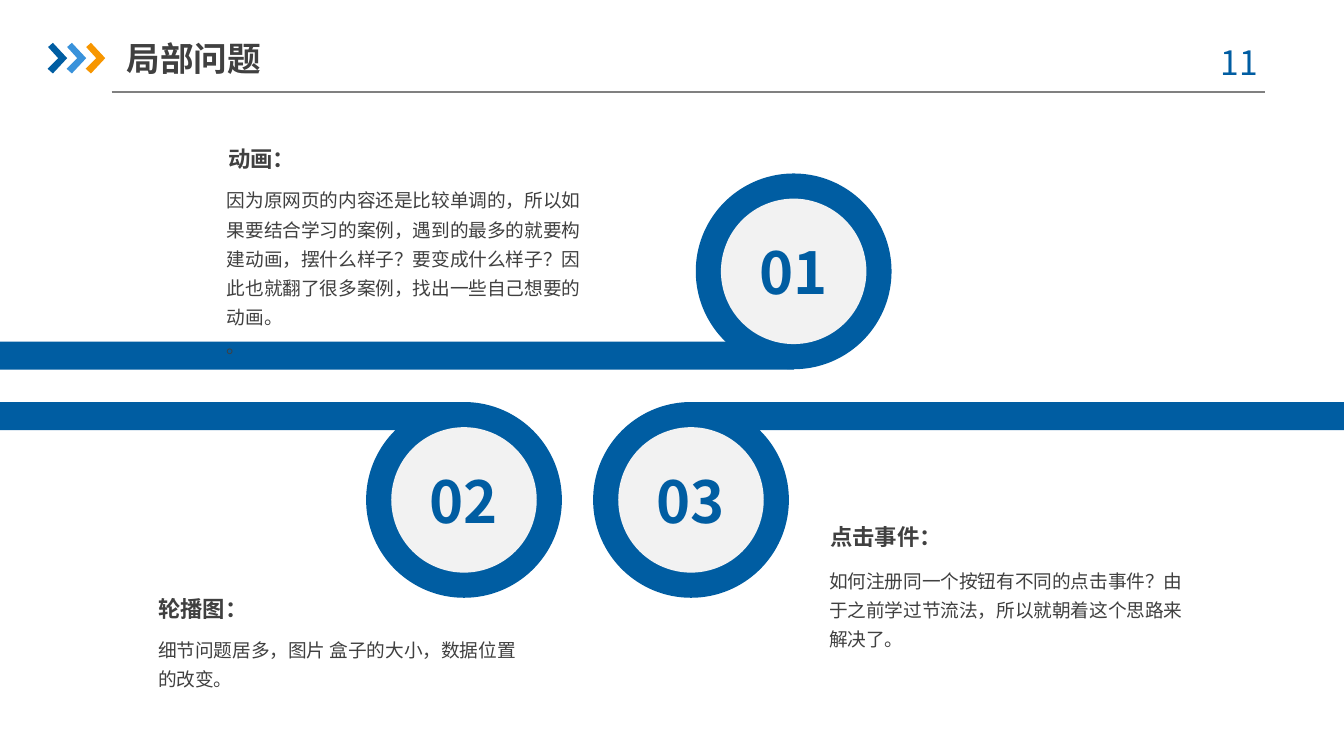
from dataclasses import dataclass

from lxml.etree import SubElement
from pptx import Presentation
from pptx.dml.color import RGBColor
from pptx.enum.shapes import MSO_CONNECTOR as Connector, MSO_SHAPE as Preset
from pptx.enum.text import MSO_ANCHOR as Anchor, MSO_AUTO_SIZE as AutoSize, PP_ALIGN as Align
from pptx.oxml.ns import qn
from pptx.util import Cm, Pt

FONT = "Noto Sans CJK SC"
BLUE = "005DA2"
SKY = "3992DB"
ORANGE = "F79600"
DARK = "404040"
GREY = "808080"
PALE = "F2F2F2"

PAGE_WIDTH = 25.4
PAGE_HEIGHT = 14.29
RING_SIZE = 3.7
DISC_SIZE = 2.75
BAR_HEIGHT = 0.53
CHEVRON_PITCH = 0.36
CHEVRON = [(0.91, 0.89), (1.0, 0.81), (1.27, 1.1), (1.0, 1.39), (0.9, 1.3), (1.1, 1.1)]


@dataclass
class Area:
    left: float
    top: float
    width: float
    height: float

    def lengths(self) -> tuple:
        return Cm(self.left), Cm(self.top), Cm(self.width), Cm(self.height)


@dataclass
class Topic:
    number: str
    bar: Area
    ring_left: float
    ring_top: float
    heading: str
    heading_area: Area
    body: str
    body_area: Area


TOPICS = [
    Topic("02", Area(0, 7.6, 8.81, BAR_HEIGHT), 6.92, 7.6,
          "轮播图：", Area(2.79, 11.15, 2.11, 0.71),
          "细节问题居多，图片 盒子的大小，数据位置的改变。", Area(2.79, 11.84, 7.34, 1.24)),
    Topic("01", Area(0, 6.46, 15.01, BAR_HEIGHT), 13.15, 3.28,
          "动画：", Area(4.11, 2.64, 1.68, 0.71),
          "因为原网页的内容还是比较单调的，所以如果要结合学习的案例，遇到的最多的就要构建动画，"
          "摆什么样子？要变成什么样子？因此也就翻了很多案例，找出一些自己想要的动画。\n。",
          Area(4.09, 3.35, 7.24, 3.53)),
    Topic("03", Area(13.08, 7.6, 12.32, BAR_HEIGHT), 11.21, 7.6,
          "点击事件：", Area(15.49, 9.78, 2.54, 0.71),
          "如何注册同一个按钮有不同的点击事件？由于之前学过节流法，所以就朝着这个思路来解决了。",
          Area(15.47, 10.54, 7.24, 1.8)),
]


def colour(code: str) -> RGBColor:
    return RGBColor.from_string(code)


def paint(shape, code: str) -> None:
    shape.shadow.inherit = False
    shape.fill.solid()
    shape.fill.fore_color.rgb = colour(code)
    shape.line.fill.background()


def write(shape, text: str, size: float, code: str, bold: bool = False,
          align=Align.LEFT, anchor=Anchor.TOP, wrap: bool = True,
          spacing: float = 1.0, margins: tuple = (0.2, 0.1)) -> None:
    frame = shape.text_frame
    frame.text = text
    frame.word_wrap = wrap
    frame.auto_size = AutoSize.NONE
    frame.vertical_anchor = anchor
    frame.margin_left = frame.margin_right = Cm(margins[0])
    frame.margin_top = frame.margin_bottom = Cm(margins[1])
    for para in frame.paragraphs:
        para.alignment = align
        para.line_spacing = spacing
        for span in para.runs:
            span.font.name = FONT
            span.font.size = Pt(size)
            span.font.bold = bold
            span.font.color.rgb = colour(code)
            SubElement(span.font._element, qn("a:ea"), typeface=FONT)


def add_block(page, preset, area: Area, code: str):
    shape = page.shapes.add_shape(preset, *area.lengths())
    paint(shape, code)
    return shape


def add_text(page, area: Area, text: str, size: float, code: str, **style) -> None:
    box = page.shapes.add_textbox(*area.lengths())
    write(box, text, size, code, **style)


def add_chevron(page, shift: float, code: str) -> None:
    points = [(Cm(x + shift), Cm(y)) for x, y in CHEVRON]
    builder = page.shapes.build_freeform(*points[0])
    builder.add_line_segments(points[1:], close=True)
    paint(builder.convert_to_shape(), code)


def add_header(page) -> None:
    rule = page.shapes.add_connector(Connector.STRAIGHT, Cm(2.11), Cm(1.74), Cm(23.9), Cm(1.74))
    rule.line.color.rgb = colour(GREY)
    rule.line.width = Pt(0.75)
    SubElement(rule._element.spPr, qn("a:effectLst"))
    for index, code in enumerate([BLUE, SKY, ORANGE]):
        add_chevron(page, index * CHEVRON_PITCH, code)
    add_text(page, Area(22.5, 0.66, 1.85, 1.02), "11", 18, BLUE,
             align=Align.CENTER, margins=(0.25, 0.13))
    title = page.shapes.title
    title.left, title.top, title.width, title.height = Area(2.39, 0.56, 5.92, 1.07).lengths()
    write(title, "局部问题", 18, DARK, bold=True, anchor=Anchor.MIDDLE, margins=(0, 0.13))


def add_topic(page, topic: Topic) -> None:
    inset = (RING_SIZE - DISC_SIZE) / 2
    add_block(page, Preset.RECTANGLE, topic.bar, BLUE)
    add_block(page, Preset.OVAL,
              Area(topic.ring_left, topic.ring_top, RING_SIZE, RING_SIZE), BLUE)
    disc = add_block(page, Preset.OVAL,
                     Area(topic.ring_left + inset, topic.ring_top + inset,
                          DISC_SIZE, DISC_SIZE), PALE)
    write(disc, topic.number, 31, BLUE, bold=True, align=Align.CENTER,
          anchor=Anchor.MIDDLE, wrap=False)
    add_text(page, topic.body_area, topic.body, 10, DARK, spacing=1.3)
    add_text(page, topic.heading_area, topic.heading, 12, DARK, bold=True, wrap=False)


def main() -> None:
    deck = Presentation()
    deck.slide_width = Cm(PAGE_WIDTH)
    deck.slide_height = Cm(PAGE_HEIGHT)
    page = deck.slides.add_slide(deck.slide_layouts.get_by_name("Title Only"))
    add_header(page)
    for topic in TOPICS:
        add_topic(page, topic)
    deck.save("out.pptx")


if __name__ == "__main__":
    main()
